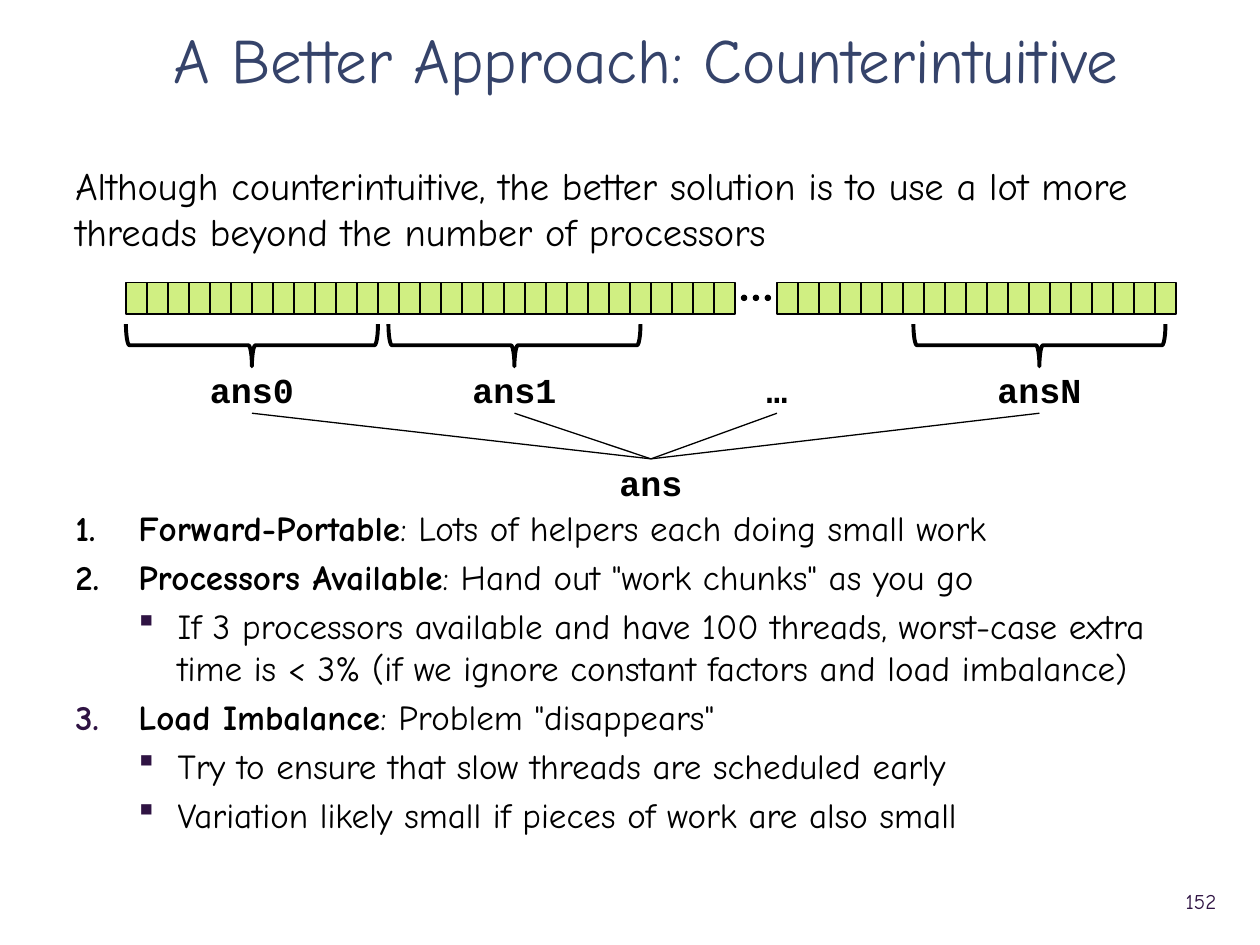
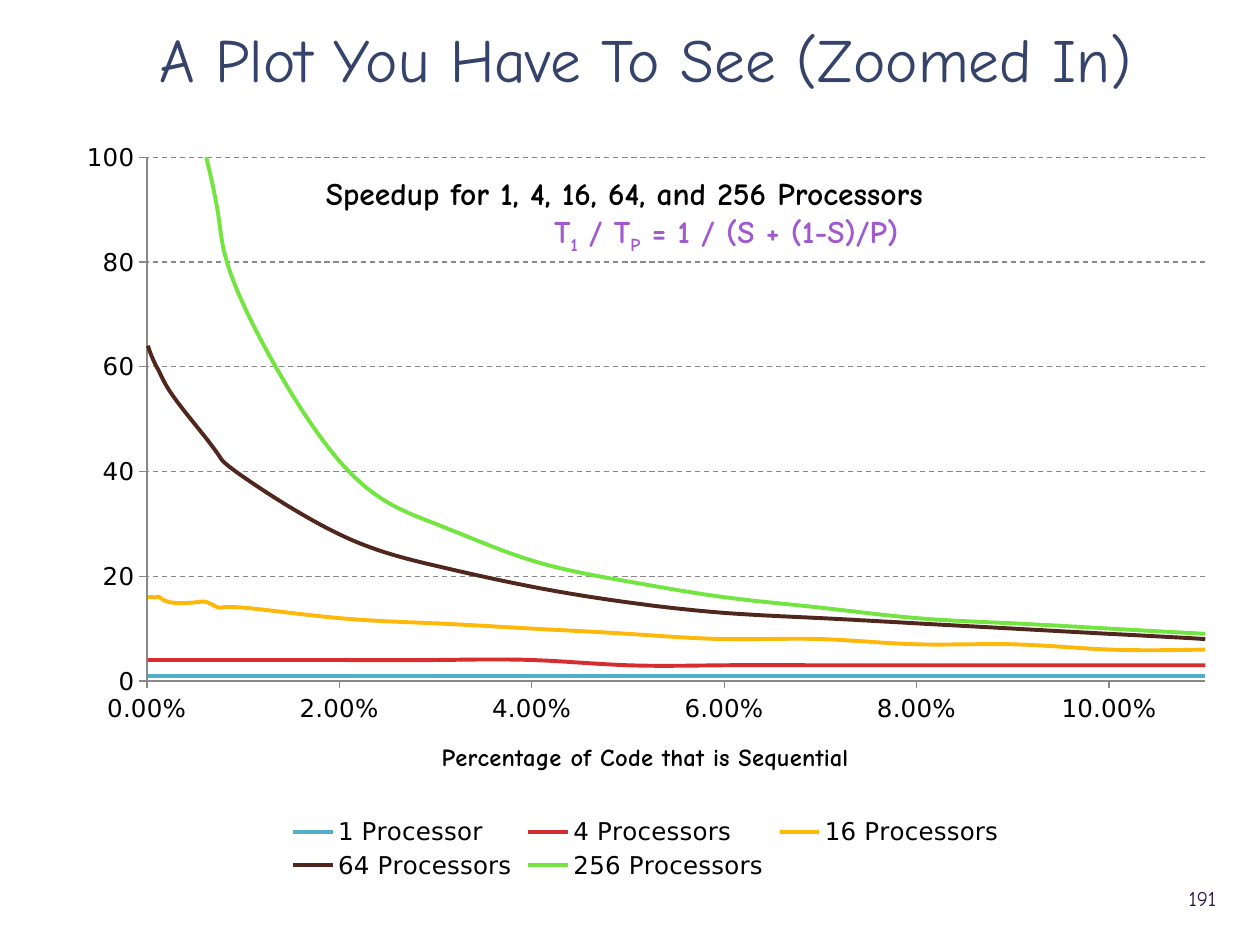
from lxml import etree
from pptx import Presentation
from pptx import util as u
from pptx.chart.data import XyChartData
from pptx.dml.color import RGBColor
from pptx.enum import chart as charts, dml, shapes, text
from pptx.oxml.ns import qn

BLACK = RGBColor(0x00, 0x00, 0x00)
NAVY = RGBColor(0x35, 0x43, 0x6A)
PLUM = RGBColor(0x2F, 0x13, 0x43)
VIOLET = RGBColor(0x9F, 0x5A, 0xD0)
LIME = RGBColor(0xD0, 0xEF, 0x82)
GRAY = RGBColor(0x88, 0x88, 0x88)
HAND, CODE, PLAIN = "Comic Neue", "Courier New", "DejaVu Sans"

# Content. A run is a string or a (string, format) pair.
BOLD = {"bold": True}
SUB = {"baseline": -25000}

APPROACH_TITLE = "A Better Approach: Counterintuitive"
APPROACH_PAGE = "152"
INTRO = ("Although counterintuitive, the better solution is to use a lot more "
         "threads beyond the number of processors")
PARTIAL_ANSWERS = ["ans0", "ans1", "…", "ansN"]
FINAL_ANSWER = "ans"
# (bullet kind, bullet colour, runs)
REASONS = [
    ("number", None, [("Forward-Portable", BOLD), ": Lots of helpers each doing small work"]),
    ("number", None, [("Processors Available", BOLD), ': Hand out "work chunks" as you go']),
    ("square", PLUM, ["If 3 processors available and have 100 threads, worst-case extra time "
                      "is < 3% (if we ignore constant factors and load imbalance)"]),
    ("number", PLUM, [("Load Imbalance", BOLD), ': Problem "disappears"']),
    ("square", PLUM, ["Try to ensure that slow threads are scheduled early"]),
    ("square", PLUM, ["Variation likely small if pieces of work are also small"]),
]

PLOT_TITLE = "A Plot You Have To See (Zoomed In)"
PLOT_PAGE = "191"
SPEEDUP_NOTE = ["Speedup for 1, 4, 16, 64, and 256 Processors"]
SPEEDUP_FORMULA = ["T", ("1", SUB), " / T", ("P", SUB), " = 1 / (S + (1-S)/P)"]
SEQUENTIAL_AXIS = "Percentage of Code that is Sequential"
SEQUENTIAL_PERCENT = [0.01, 0.05, 0.1, 0.125, 0.25, 0.5, 0.625, 0.75, *range(1, 26)]
# (processors, last percentage plotted, line colour)
PROCESSOR_CURVES = [
    (1, 25, RGBColor(0x53, 0xAF, 0xC5)),
    (4, 25, RGBColor(0xD6, 0x2D, 0x31)),
    (16, 25, RGBColor(0xFE, 0xB8, 0x0A)),
    (64, 25, RGBColor(0x4F, 0x27, 0x1C)),
    (256, 21, RGBColor(0x72, 0xE5, 0x40)),
]

# Layout in centimetres
MARGIN, CONTENT_WIDTH = 1.27, 23.5
ROW_LEFT, ROW_TOP, CELL, CELL_HEIGHT = 2.54, 5.69, 2.54 / 6, 0.64
CELLS = 50
HIDDEN_CELLS = (29, 30)
CHUNK = 12
CHUNK_STEP = 12.5
LABEL_TOP, FINAL_TOP, LABEL_HEIGHT = 7.37, 9.25, 0.96

BULLETS = {  # level, left indent, hanging indent, font, tag, attributes
    "number": (0, 1.27, 1.27, None, "a:buAutoNum", {"type": "arabicPeriod"}),
    "square": (1, 2.06, 0.79, "Wingdings", "a:buChar", {"char": "§"}),
}


def box(left, top, width, height):
    return [u.Cm(length) for length in (left, top, width, height)]


def set_bullet(paragraph, kind, color):
    level, indent, hanging, font, tag, attributes = BULLETS[kind]
    paragraph.level = level
    properties = paragraph._p.get_or_add_pPr()
    properties.set("marL", str(u.Cm(indent)))
    properties.set("indent", str(-u.Cm(hanging)))
    if color is not None:
        bullet_color = etree.SubElement(properties, qn("a:buClr"))
        etree.SubElement(bullet_color, qn("a:srgbClr"), val=str(color))
    if font:
        etree.SubElement(properties, qn("a:buFont"), typeface=font, charset="2")
    etree.SubElement(properties, qn(tag), attributes)


def write_runs(paragraph, runs, font=HAND, size=20, color=BLACK, bold=False,
               align=text.PP_ALIGN.LEFT, line_spacing=None, space_before=0):
    paragraph.alignment = align
    paragraph.space_before = u.Pt(space_before)
    if line_spacing:
        paragraph.line_spacing = line_spacing
    for item in runs:
        words, special = (item, {}) if isinstance(item, str) else item
        run = paragraph.add_run()
        run.text = words
        run.font.name, run.font.size = font, u.Pt(size)
        run.font.bold = special.get("bold", bold)
        run.font.color.rgb = color
        if "baseline" in special:
            run._r.get_or_add_rPr().set("baseline", str(special["baseline"]))


def add_text(slide, place, *paragraphs, anchor=text.MSO_ANCHOR.TOP, wrap=True,
             inset=0.13, **shared):
    """Add a box of (runs, format) paragraphs; shared formats apply to all."""
    frame = slide.shapes.add_textbox(*box(*place)).text_frame
    frame.word_wrap = wrap
    frame.vertical_anchor = anchor
    frame.margin_top = frame.margin_bottom = u.Cm(inset)
    for index, (runs, own) in enumerate(paragraphs):
        paragraph = frame.add_paragraph() if index else frame.paragraphs[0]
        own = dict(own)
        if "bullet" in own:
            set_bullet(paragraph, *own.pop("bullet"))
        write_runs(paragraph, runs, **{**shared, **own})


def add_page(deck, title, title_size, page, page_top):
    slide = deck.slides.add_slide(deck.slide_layouts[6])
    add_text(slide, (MARGIN, 0.43, CONTENT_WIDTH, 1.35), ([title], {}),
             size=title_size, color=NAVY, align=text.PP_ALIGN.CENTER,
             anchor=text.MSO_ANCHOR.MIDDLE, line_spacing=1.1)
    add_text(slide, (22.58, page_top, 2.19, 1.02), ([page], {}), size=12, color=PLUM,
             align=text.PP_ALIGN.RIGHT, anchor=text.MSO_ANCHOR.MIDDLE)
    return slide


def add_figure(slide, kind, place, fill=None, line_width=None):
    figure = slide.shapes.add_shape(kind, *box(*place))
    figure.shadow.inherit = False
    if fill is None:
        figure.fill.background()
    else:
        figure.fill.solid()
        figure.fill.fore_color.rgb = fill
    if line_width is None:
        figure.line.fill.background()
    else:
        figure.line.color.rgb = BLACK
        figure.line.width = u.Pt(line_width)
    return figure


def add_line(slide, start, end):
    line = slide.shapes.add_connector(shapes.MSO_CONNECTOR.STRAIGHT,
                                      *[u.Cm(length) for length in (*start, *end)])
    line.line.color.rgb = BLACK
    line.line.width = u.Pt(0.75)
    etree.SubElement(line._element.spPr, qn("a:effectLst"))


def cell_x(index):
    return ROW_LEFT + index * CELL


def add_code_label(slide, words, center, top):
    width = 2.24
    add_text(slide, (center - width / 2, top, width, LABEL_HEIGHT), ([words], {}),
             font=CODE, bold=True, align=text.PP_ALIGN.CENTER, wrap=False, inset=0.05)


def draw_array(slide):
    for index in range(CELLS):
        if index not in HIDDEN_CELLS:
            add_figure(slide, shapes.MSO_SHAPE.RECTANGLE,
                       (cell_x(index), ROW_TOP, CELL, CELL_HEIGHT), LIME, 0.75)
    dot, pitch = 0.13, 0.24
    for step in (-1, 0, 1):
        add_figure(slide, shapes.MSO_SHAPE.OVAL,
                   (cell_x(30) + step * pitch - dot / 2, 5.94, dot, dot), BLACK)


def draw_answers(slide):
    final_x = cell_x(CELLS / 2)
    brace_width, brace_height, brace_middle = 0.85, CHUNK * CELL, 6.96
    for index, answer in enumerate(PARTIAL_ANSWERS):
        center = cell_x(CHUNK / 2 + index * CHUNK_STEP)
        if answer != "…":
            brace = add_figure(slide, shapes.MSO_SHAPE.LEFT_BRACE,
                               (center - brace_width / 2, brace_middle - brace_height / 2,
                                brace_width, brace_height), line_width=2.25)
            brace.rotation = 270
        add_code_label(slide, answer, center, LABEL_TOP)
        add_line(slide, (center, LABEL_TOP + LABEL_HEIGHT), (final_x, FINAL_TOP))
    add_code_label(slide, FINAL_ANSWER, final_x, FINAL_TOP)


def build_approach(deck):
    slide = add_page(deck, APPROACH_TITLE, 36, APPROACH_PAGE, 17.65)
    add_text(slide, (MARGIN, 3.13, CONTENT_WIDTH, 2.2), ([INTRO], {}), size=22)
    reasons = [(runs, {"bullet": (kind, color), "space_before": 4 if index else 0})
               for index, (kind, color, runs) in enumerate(REASONS)]
    add_text(slide, (MARGIN, 10.08, CONTENT_WIDTH, 7.2), *reasons)
    draw_array(slide)
    draw_answers(slide)


def speedup(processors, sequential):
    return round(1 / (sequential + (1 - sequential) / processors))


def set_layout(part, target=None, **fractions):
    """Place a chart part by fractions of the chart's size."""
    layout = part.find(qn("c:layout"))
    if layout is None:
        layout = etree.Element(qn("c:layout"))
        overlay = part.find(qn("c:overlay"))
        if overlay is None:
            part.insert(0, layout)
        else:
            overlay.addprevious(layout)
    manual = etree.SubElement(layout, qn("c:manualLayout"))
    if target:
        etree.SubElement(manual, qn("c:layoutTarget"), val=target)
    for mode in ("xMode", "yMode"):
        etree.SubElement(manual, qn(f"c:{mode}"), val="edge")
    for side, fraction in fractions.items():
        etree.SubElement(manual, qn(f"c:{side}"), val=str(fraction))


def style_axis(axis, top, step, number_format):
    axis.minimum_scale, axis.maximum_scale, axis.major_unit = 0, top, step
    axis.major_tick_mark = charts.XL_TICK_MARK.OUTSIDE
    axis.minor_tick_mark = charts.XL_TICK_MARK.NONE
    axis.tick_labels.number_format = number_format
    axis.tick_labels.number_format_is_linked = False
    axis.format.line.color.rgb = GRAY
    axis.has_major_gridlines = False


def draw_speedup_chart(slide):
    data = XyChartData()
    for processors, last, _ in PROCESSOR_CURVES:
        curve = data.add_series(f"{processors} Processor{'s' if processors > 1 else ''}")
        for percent in SEQUENTIAL_PERCENT:
            if percent <= last:
                curve.add_data_point(round(percent / 100, 4),
                                     speedup(processors, percent / 100))
    chart = slide.shapes.add_chart(charts.XL_CHART_TYPE.XY_SCATTER_SMOOTH_NO_MARKERS,
                                   *box(MARGIN, 2.59, CONTENT_WIDTH, 15.24), data).chart
    chart.has_title = False
    chart.font.name, chart.font.size = PLAIN, u.Pt(14)
    chart.font.color.rgb = BLACK
    plot = chart.plots[0]
    plot.vary_by_categories = False
    for series, (_, _, color) in zip(plot.series, PROCESSOR_CURVES):
        series.smooth = True
        # The value is written out because some viewers take a missing one as false.
        series._element.find(qn("c:smooth")).set("val", "1")
        series.marker.style = charts.XL_MARKER_STYLE.NONE
        series.format.line.color.rgb = color
        series.format.line.width = u.Pt(2.25)

    style_axis(chart.category_axis, 0.11, 0.02, "0.00%")
    style_axis(chart.value_axis, 100, 20, "0")
    chart.value_axis.has_major_gridlines = True
    grid = chart.value_axis.major_gridlines.format.line
    grid.color.rgb, grid.width = GRAY, u.Pt(0.75)
    grid.dash_style = dml.MSO_LINE.DASH

    axis_title = chart.category_axis.axis_title
    write_runs(axis_title.text_frame.paragraphs[0], [SEQUENTIAL_AXIS], size=14, bold=True,
               align=text.PP_ALIGN.CENTER)
    chart.has_legend = True
    chart.legend.position = charts.XL_LEGEND_POSITION.BOTTOM
    chart.legend.include_in_layout = False

    plot_area = chart._chartSpace.find(f"{qn('c:chart')}/{qn('c:plotArea')}")
    set_layout(plot_area, "inner", x=0.072, y=0.038, w=0.908, h=0.693)
    set_layout(axis_title._element, x=0.321, y=0.805)
    set_layout(chart.legend._element, x=0.19, y=0.905, w=0.62, h=0.095)


def build_plot(deck):
    slide = add_page(deck, PLOT_TITLE, 35, PLOT_PAGE, 17.6)
    draw_speedup_chart(slide)
    add_text(slide, (6.32, 3.38, 16.64, 1.8), (SPEEDUP_NOTE, {}),
             (SPEEDUP_FORMULA, {"color": VIOLET, "align": text.PP_ALIGN.CENTER}),
             size=18, bold=True)


def main():
    deck = Presentation()
    deck.slide_width, deck.slide_height = u.Cm(25.4), u.Cm(19.05)
    build_approach(deck)
    build_plot(deck)
    deck.save("out.pptx")


if __name__ == "__main__":
    main()
